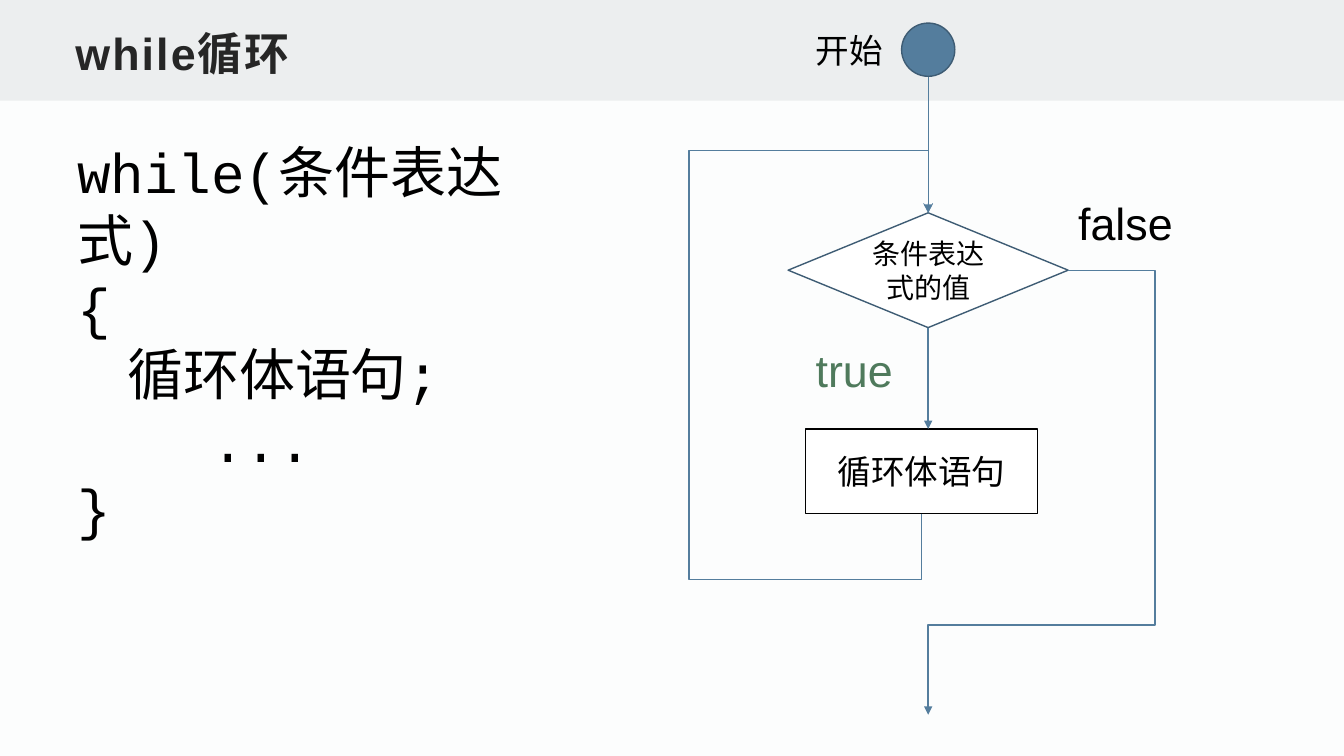
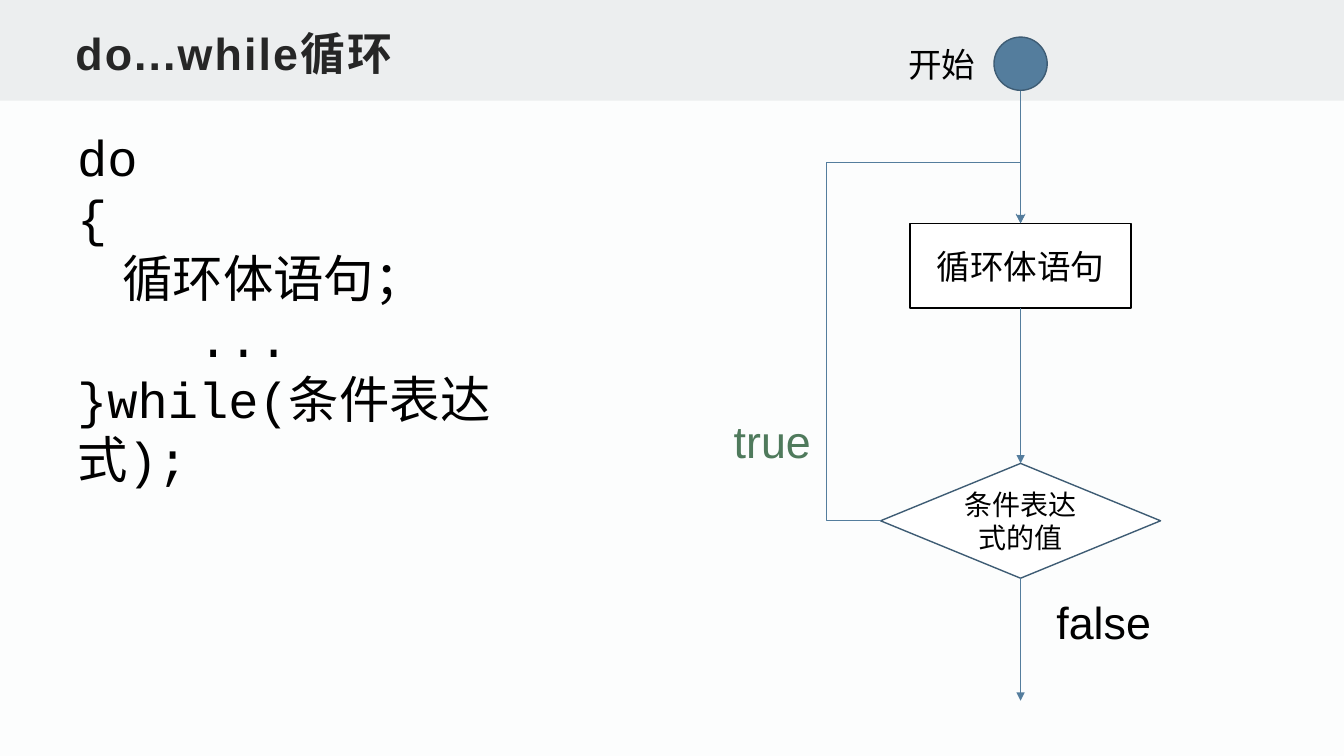
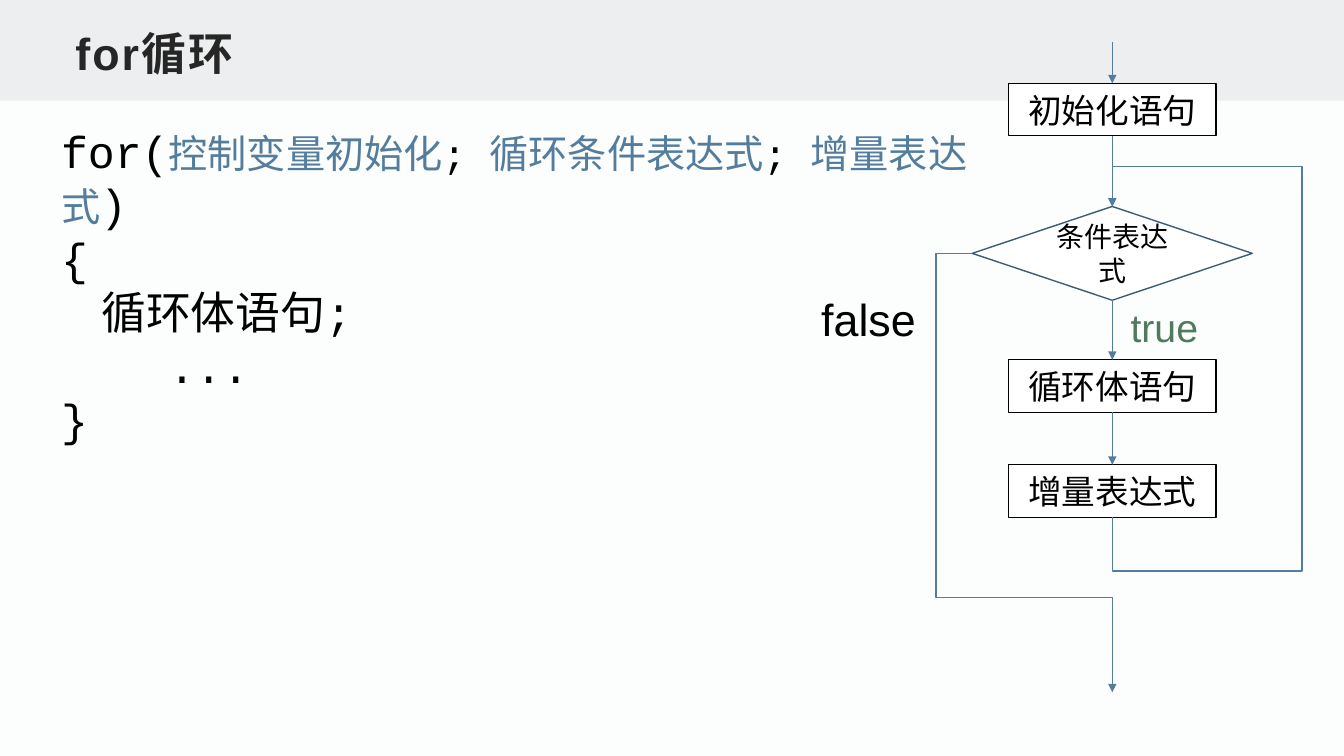
from dataclasses import dataclass

from lxml import etree
from pptx import Presentation
from pptx.dml.color import RGBColor
from pptx.enum import shapes, text
from pptx.oxml import ns
from pptx.util import Pt

TOP, BOTTOM = 0, 2


@dataclass(frozen=True)
class Theme:
    page: str = "FCFDFD"
    band: str = "ECEEEF"
    title: str = "262626"
    ink: str = "000000"
    paper: str = "FFFFFF"
    accent: str = "547D9D"
    accent_dark: str = "3E5C74"
    yes: str = "4F7A5C"
    sans: str = "Arial"
    mono: str = "Courier New"
    title_size: int = 32
    label_size: int = 32
    small_label_size: int = 28
    step_size: int = 24
    test_size: int = 20
    thin: float = 0.5
    line: float = 1


THEME = Theme()


@dataclass(frozen=True)
class Box:
    left: float
    top: float
    width: float
    height: float

    def inner(self, x, y, width, height):
        return Box(self.left + x, self.top + y, width, height)

    def point(self, x, y):
        return Pt(self.left + x), Pt(self.top + y)

    @property
    def lengths(self):
        return [Pt(n) for n in (self.left, self.top, self.width, self.height)]


def rgb(value):
    return RGBColor.from_string(value)


def write(frame, paragraphs, size, color=THEME.ink, font=THEME.sans, bold=False,
          align=text.PP_ALIGN.LEFT, anchor=text.MSO_ANCHOR.TOP, wrap=True, spacing=None):
    frame.word_wrap = wrap
    frame.auto_size = text.MSO_AUTO_SIZE.NONE
    frame.vertical_anchor = anchor
    for index, content in enumerate(paragraphs):
        paragraph = frame.paragraphs[0] if index == 0 else frame.add_paragraph()
        paragraph.alignment = align
        runs = [(content, size, color)] if isinstance(content, str) else content
        for words, run_size, run_color in runs:
            run = paragraph.add_run()
            run.text = words
            run.font.name = font
            run.font.size = Pt(run_size)
            run.font.bold = bold
            run.font.color.rgb = rgb(run_color)
            if spacing is not None:
                run.font._element.set("spc", str(int(spacing * 100)))


def add_text(slide, box, paragraphs, **style):
    shape = slide.shapes.add_textbox(*box.lengths)
    write(shape.text_frame, paragraphs, **style)


def add_block(slide, kind, box, fill, line=None):
    shape = slide.shapes.add_shape(kind, *box.lengths)
    shape.shadow.inherit = False
    shape.fill.solid()
    shape.fill.fore_color.rgb = rgb(fill)
    if line:
        shape.line.color.rgb = rgb(line)
        shape.line.width = Pt(THEME.line)
    else:
        shape.line.fill.background()
    return shape


def add_node(slide, kind, box, words, line, size):
    shape = add_block(slide, kind, box, THEME.paper, line)
    write(shape.text_frame, [words], size,
          align=text.PP_ALIGN.CENTER, anchor=text.MSO_ANCHOR.MIDDLE)
    return shape


def add_step(slide, box, words):
    return add_node(slide, shapes.MSO_SHAPE.RECTANGLE, box, words, THEME.ink, THEME.step_size)


def add_test(slide, box, words):
    return add_node(slide, shapes.MSO_SHAPE.DIAMOND, box, words,
                    THEME.accent_dark, THEME.test_size)


def add_label(slide, box, words, color=THEME.ink, size=THEME.label_size):
    add_text(slide, box, [words], size=size, color=color, wrap=False)


def finish_arrow(shape, width, head):
    shape.line.color.rgb = rgb(THEME.accent)
    shape.line.width = Pt(width)
    properties = shape._element.spPr
    etree.SubElement(properties.get_or_add_ln(), ns.qn("a:tailEnd"), type=head)


def add_arrow(slide, start, end, width=THEME.line, head="triangle", source=None, target=None):
    connector = slide.shapes.add_connector(shapes.MSO_CONNECTOR.STRAIGHT, *start, *end)
    if source is not None:
        connector.begin_connect(source, BOTTOM)
    if target is not None:
        connector.end_connect(target, TOP)
    finish_arrow(connector, width, head)
    etree.SubElement(connector._element.spPr, ns.qn("a:effectLst"))


def add_route(slide, box, points):
    start, *bends = [box.point(x, y) for x, y in points]
    builder = slide.shapes.build_freeform(*start)
    builder.add_line_segments(bends, close=False)
    shape = builder.convert_to_shape()
    shape.shadow.inherit = False
    shape.fill.background()
    finish_arrow(shape, THEME.line, "triangle")


def add_start(slide, box, axis, target, target_top):
    diameter = 38
    add_arrow(slide, box.point(axis, diameter), box.point(axis, target_top),
              THEME.thin, "arrow", target=target)
    add_block(slide, shapes.MSO_SHAPE.OVAL,
              box.inner(axis - diameter / 2, 0, diameter, diameter),
              THEME.accent, THEME.accent_dark)
    add_text(slide, box.inner(axis - 87.5, 1.5, 79, 36), ["开始"], size=THEME.step_size)


def draw_while(slide, box):
    axis, test_top, step_top = 171, 135.5, 290
    test = add_test(slide, box.inner(axis - 100, test_top, 200, 82), "条件表达式的值")
    step = box.inner(83.5, step_top, 165.5, 60.5)
    add_step(slide, step, "循环体语句")
    add_label(slide, box.inner(83.5, 224.5, 70, 46), "true", THEME.yes)
    add_label(slide, box.inner(271, 120, 82, 46), "false")
    add_arrow(slide, box.point(axis, test_top + 82), box.point(axis, step_top), source=test)
    step_axis = 83.5 + step.width / 2
    add_route(slide, box, [(step_axis, step_top + step.height), (step_axis, 397.5), (0, 397.5),
                           (0, 91), (axis, 91), (axis, test_top)])
    add_route(slide, box, [(axis + 100, test_top + 41), (box.width, test_top + 41),
                           (box.width, 430), (axis, 430), (axis, box.height)])
    add_start(slide, box, axis, test, test_top)


def draw_do_while(slide, box):
    axis, step_top, test_top = 212, 133, 304.5
    step = add_step(slide, box.inner(axis - 79, step_top, 158, 60.5), "循环体语句")
    test = add_test(slide, box.inner(axis - 100, test_top, 200, 82), "条件表达式的值")
    add_label(slide, box.inner(0, 265.5, 70, 46), "true", THEME.yes)
    add_label(slide, box.inner(230.5, 394.5, 82, 46), "false")
    add_arrow(slide, box.point(axis, step_top + 60.5), box.point(axis, test_top),
              source=step, target=test)
    add_arrow(slide, box.point(axis, test_top + 82), box.point(axis, box.height), source=test)
    add_route(slide, box, [(axis - 100, test_top + 41), (73.5, test_top + 41),
                           (73.5, 89.5), (axis, 89.5), (axis, step_top)])
    add_start(slide, box, axis, step, step_top)


def draw_for(slide, box):
    axis, test_top, step_height = 215, 117.5, 37.5
    first, body, increment = [
        add_step(slide, box.inner(axis - 74, top, 148, step_height), words)
        for top, words in ((29.5, "初始化语句"), (227, "循环体语句"), (302, "增量表达式"))
    ]
    test = add_test(slide, box.inner(axis - 100, test_top, 200, 67), "条件表达式")
    add_label(slide, box.inner(221, 183, 70, 41), "true", THEME.yes, THEME.small_label_size)
    add_label(slide, box.inner(0, 175, 82, 46), "false")
    origin = box.point(axis, 0)
    add_arrow(slide, origin, box.point(axis, 29.5), target=first)
    for source, target in ((first, test), (test, body), (body, increment)):
        add_arrow(slide, origin, origin, THEME.thin, source=source, target=target)
    add_route(slide, box, [(axis, 302 + step_height), (axis, 378), (box.width, 378),
                           (box.width, 89), (axis, 89), (axis, test_top)])
    add_route(slide, box, [(axis - 100, test_top + 33.5), (89, test_top + 33.5),
                           (89, 397), (axis, 397), (axis, box.height)])


def set_title(slide, words):
    title = slide.shapes.title
    title.left, title.top, title.width, title.height = Box(48, 12, 864, 48).lengths
    frame = title.text_frame
    frame.margin_left = frame.margin_right = Pt(5.8)
    frame.margin_top = frame.margin_bottom = Pt(2.9)
    write(frame, [words], THEME.title_size, THEME.title, bold=True,
          anchor=text.MSO_ANCHOR.BOTTOM, spacing=1.5)


def add_band(slide):
    band = add_block(slide, shapes.MSO_SHAPE.RECTANGLE, Box(0, 0, 960, 72), THEME.band)
    slide.slide_layout.shapes.element.insert(2, band.element)


FOR_HEADER = [
    ("for(", 32, THEME.ink),
    ("控制变量初始化", 28, THEME.accent),
    ("; ", 28, THEME.ink),
    ("循环条件表达式", 28, THEME.accent),
    ("; ", 28, THEME.ink),
    ("增量表达式", 28, THEME.accent),
    (")", 32, THEME.ink),
]

LOOPS = [
    ("while循环", Box(48, 95, 368.5, 250), 40,
     ["while(条件表达式)", "{", "    循环体语句;", "    ...", "}"],
     draw_while, Box(492, 16.5, 333, 494)),
    ("do...while循环", Box(48, 86.5, 372, 225), 36,
     ["do", "{", "    循环体语句；", "    ...", "}while(条件表达式);"],
     draw_do_while, Box(517, 26.5, 312, 474)),
    ("for循环", Box(36.5, 84.5, 696, 201), 32,
     [FOR_HEADER, "{", "    循环体语句;", "    ...", "}"],
     draw_for, Box(579.5, 30, 350.5, 464.5)),
]


def main():
    presentation = Presentation()
    presentation.slide_width, presentation.slide_height = Pt(960), Pt(540)
    background = presentation.slide_master.background.fill
    background.solid()
    background.fore_color.rgb = rgb(THEME.page)
    layout = presentation.slide_layouts.get_by_name("Title Only")
    for index, (title, code_box, size, code, draw, flow_box) in enumerate(LOOPS):
        slide = presentation.slides.add_slide(layout)
        if index == 0:
            add_band(slide)
        set_title(slide, title)
        add_text(slide, code_box, code, size=size, font=THEME.mono)
        draw(slide, flow_box)
    presentation.save("out.pptx")


if __name__ == "__main__":
    main()
